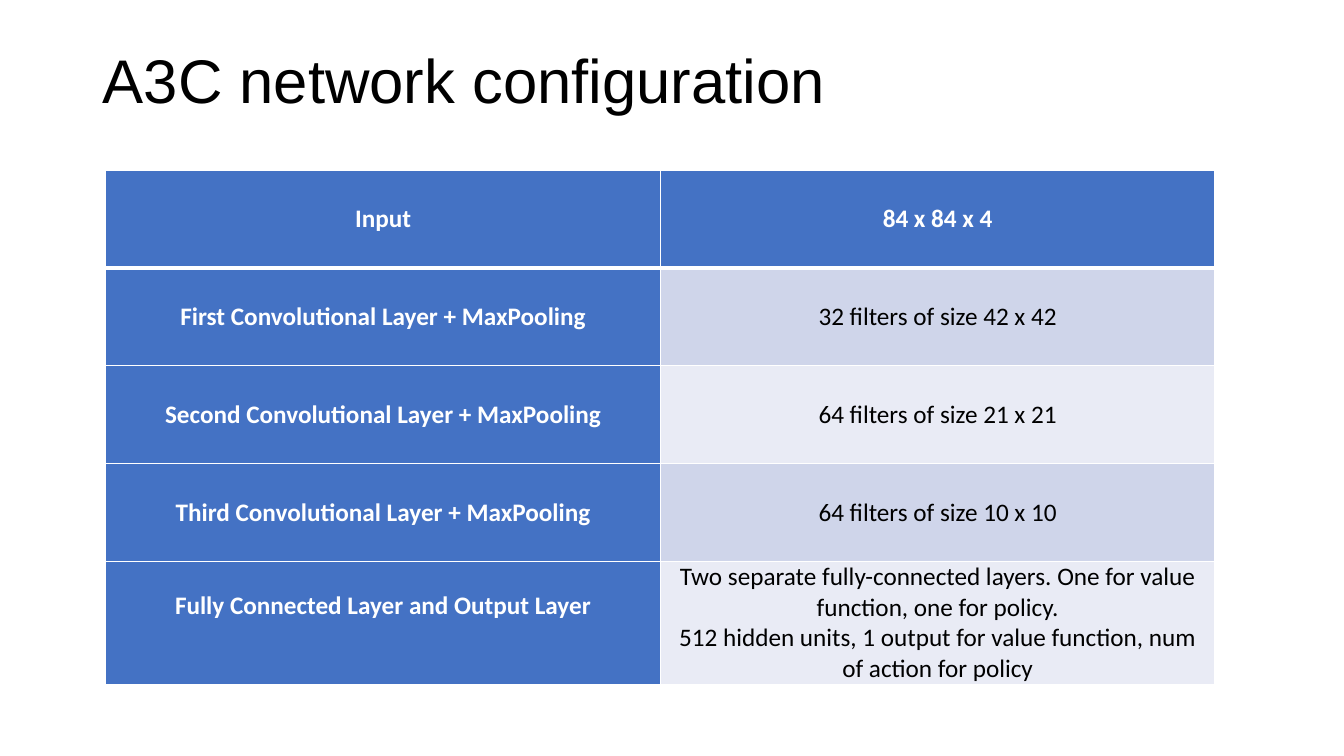
"""Build the A3C network configuration slide with its table of layers."""
import pptx
import pptx.dml.color
import pptx.enum.text
import pptx.oxml
import pptx.oxml.ns
import pptx.util

Inches = pptx.util.Inches
Pt = pptx.util.Pt
RGBColor = pptx.dml.color.RGBColor
ALIGN = pptx.enum.text.PP_ALIGN
ANCHOR = pptx.enum.text.MSO_ANCHOR

BLACK = RGBColor(0x00, 0x00, 0x00)
WHITE = RGBColor(0xFF, 0xFF, 0xFF)
BLUE = RGBColor(0x44, 0x72, 0xC4)
BANDS = [RGBColor(0xE9, 0xEB, 0xF5), RGBColor(0xCF, 0xD5, 0xEA)]

LAYERS = [
    ("Input", "84 x 84 x 4"),
    ("First Convolutional Layer + MaxPooling", "32 filters of size 42 x 42"),
    ("Second Convolutional Layer + MaxPooling", "64 filters of size 21 x 21"),
    ("Third Convolutional Layer + MaxPooling", "64 filters of size 10 x 10"),
    ("Fully Connected Layer and Output Layer",
     "Two separate fully-connected layers. One for value function, one for policy.\n"
     "512 hidden units, 1 output for value function, num of action for policy"),
]


def apply(target, values):
    """Set each named attribute on the target."""
    for name, value in values.items():
        setattr(target, name, value)


def add_border(cell, side, points):
    """Draw one white edge of a table cell."""
    cell_format = cell._tc.get_or_add_tcPr()
    cell_format.append(pptx.oxml.parse_xml(
        f'<a:{side} {pptx.oxml.ns.nsdecls("a")} w="{Pt(points)}">'
        f'<a:solidFill><a:srgbClr val="{WHITE}"/></a:solidFill></a:{side}>'))


deck = pptx.Presentation()
apply(deck, {"slide_width": Inches(13.33), "slide_height": Inches(7.5)})
page = deck.slides.add_slide(deck.slide_layouts[5])

title = page.shapes.title
apply(title, {"left": Inches(0.92), "top": Inches(0.4),
              "width": Inches(11.5), "height": Inches(1.45)})
title.text_frame.text = "A3C network configuration"
apply(title.text_frame, {"vertical_anchor": ANCHOR.TOP, "margin_top": Inches(0.1),
                         "word_wrap": True})
para = title.text_frame.paragraphs[0]
apply(para, {"alignment": ALIGN.LEFT, "line_spacing": 0.9})
apply(para.runs[0].font, {"name": "Arial", "size": Pt(44)})
para.runs[0].font.color.rgb = BLACK

row_height = Inches(0.97)
table = page.shapes.add_table(
    len(LAYERS), 2, Inches(1.05), Inches(1.69), Inches(11), row_height * len(LAYERS)).table
for row in table.rows:
    row.height = row_height

for row_index, layer in enumerate(LAYERS):
    for column_index, text in enumerate(layer):
        is_heading = row_index == 0 or column_index == 0
        cell = table.cell(row_index, column_index)
        cell.text = text
        apply(cell, {"vertical_anchor": ANCHOR.MIDDLE,
                     "margin_left": Inches(0.07), "margin_right": Inches(0.07),
                     "margin_top": 0, "margin_bottom": 0})
        edges = {"lnL": 1, "lnR": 1, "lnT": 3 if row_index == 1 else 1,
                 "lnB": 3 if row_index == 0 else 1}
        for side, points in edges.items():
            add_border(cell, side, points)
        cell.fill.solid()
        cell.fill.fore_color.rgb = BLUE if is_heading else BANDS[row_index % 2]
        for para in cell.text_frame.paragraphs:
            para.alignment = ALIGN.CENTER
            for span in para.runs:
                apply(span.font, {"name": "Calibri", "size": Pt(18), "bold": is_heading})
                span.font.color.rgb = WHITE if is_heading else BLACK

table.cell(len(LAYERS) - 1, 0).margin_bottom = Inches(0.34)

deck.save("out.pptx")
